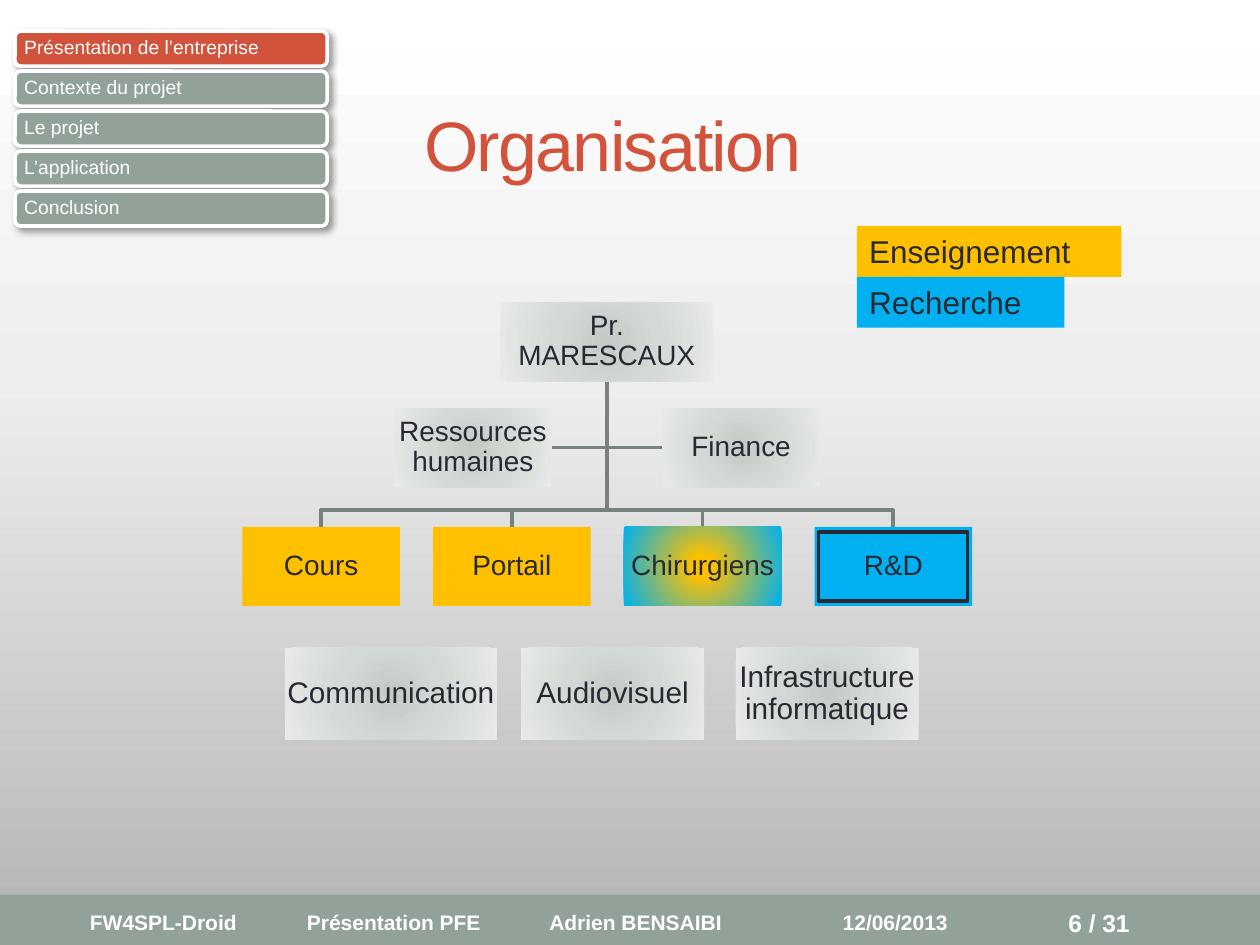
from lxml.etree import SubElement
from pptx import Presentation
from pptx.dml.color import RGBColor
from pptx.enum.shapes import MSO_SHAPE
from pptx.enum.text import MSO_ANCHOR, PP_ALIGN
from pptx.oxml.ns import qn
from pptx.util import Pt

RED, SAGE, WHITE, INK = "D2533C", "93A299", "FFFFFF", "292934"
YELLOW, BLUE, LINE = "FFC000", "00B0F0", "76827B"
GREY_STOPS = [(0, "C4CAC6"), (45, "D3DAD6"), (100, "E7EAE8")]
MIXED_STOPS = [(0, YELLOW), (12, YELLOW), (100, BLUE)]

color = RGBColor.from_string


def paint(holder, fill, paint_value, radial=True):
    """Fill with one colour, or with a list of (percent, colour) stops."""
    if isinstance(paint_value, str):
        fill.solid()
        fill.fore_color.rgb = color(paint_value)
        return
    fill.gradient()
    gradient = holder._element.find(".//" + qn("a:gradFill"))
    for child in list(gradient):
        gradient.remove(child)
    stop_list = SubElement(gradient, qn("a:gsLst"))
    for percent, value in paint_value:
        stop = SubElement(stop_list, qn("a:gs"), pos=str(percent * 1000))
        SubElement(stop, qn("a:srgbClr"), val=value)
    if radial:
        circle = SubElement(gradient, qn("a:path"), path="circle")
        SubElement(circle, qn("a:fillToRect"), l="50000", t="50000", r="50000", b="50000")
    else:
        SubElement(gradient, qn("a:lin"), ang="5400000", scaled="0")


def add_box(left, top, width, height, text, size, ink=INK, fill=None, bold=False,
            align=PP_ALIGN.LEFT, inset=7.2, side=None, spacing=None,
            kind=MSO_SHAPE.RECTANGLE, anchor=MSO_ANCHOR.MIDDLE):
    """Add a filled shape, or a text box when there is no fill."""
    place = Pt(left), Pt(top), Pt(width), Pt(height)
    if fill:
        box = page.shapes.add_shape(kind, *place)
        box.shadow.inherit = False
        box.line.fill.background()
        paint(box, box.fill, fill)
    else:
        box = page.shapes.add_textbox(*place)
    frame = box.text_frame
    frame.word_wrap = True
    frame.vertical_anchor = anchor
    frame.margin_left = frame.margin_right = Pt(inset if side is None else side)
    frame.margin_top = frame.margin_bottom = Pt(min(inset, 3.6))
    para = frame.paragraphs[0]
    para.alignment = align
    if spacing:
        para.line_spacing = spacing
    for number, part in enumerate(text.split("\n")):
        if number:
            para.add_line_break()
        span = para.add_run()
        span.text = part
        span.font.name = "Arial"
        span.font.size = Pt(size)
        span.font.bold = bold
        span.font.color.rgb = color(ink)
    return box


deck = Presentation()
deck.slide_width, deck.slide_height = Pt(720), Pt(540)
page = deck.slides.add_slide(deck.slide_layouts[6])
paint(page, page.background.fill, [(0, WHITE), (40, "EEEEEE"), (100, "B4B4B4")], radial=False)

# Footer
footer = page.shapes.add_shape(MSO_SHAPE.RECTANGLE, 0, Pt(511.2), Pt(720), Pt(28.8))
footer.shadow.inherit = False
footer.line.fill.background()
paint(footer, footer.fill, SAGE)
credits = add_box(36.7, 514.1, 391, 25.9,
                  "FW4SPL-Droid\tPrésentation PFE\tAdrien BENSAIBI", 12, WHITE,
                  bold=True, side=14.7)
tabs = SubElement(credits.text_frame.paragraphs[0]._p.get_or_add_pPr(), qn("a:tabLst"))
for position in (124, 262.5):
    SubElement(tabs, qn("a:tab"), pos=str(int(Pt(position))), algn="l")
add_box(474.5, 514.1, 91.4, 25.9, "12/06/2013", 12, WHITE, bold=True)
add_box(603.4, 514.1, 84.2, 25.9, "6 / 31", 14, WHITE, bold=True)

# Title
title = add_box(235.4, 43.2, 470, 77.8, "Organisation", 40, RED)
title.text_frame.paragraphs[0].runs[0].font._element.set("spc", "-100")

# Section navigation
sections = ["Présentation de l’entreprise", "Contexte du projet", "Le projet",
            "L’application", "Conclusion"]
for row, section in enumerate(sections):
    tab = add_box(8.6, 17.8 + 22.85 * row, 178.4, 20, section, 11, WHITE,
                  RED if row == 0 else SAGE, inset=4.3, spacing=0.9,
                  kind=MSO_SHAPE.ROUNDED_RECTANGLE)
    tab.line.color.rgb = color(WHITE)
    tab.line.width = Pt(2.08)
    shadow = SubElement(tab._element.spPr.find(qn("a:effectLst")), qn("a:outerShdw"),
                        blurRad=str(Pt(4)), dist=str(Pt(3)), dir="2700000",
                        algn="tl", rotWithShape="0")
    SubElement(SubElement(shadow, qn("a:srgbClr"), val="000000"), qn("a:alpha"), val="40000")

# Organisation chart: connectors behind, then boxes
center, root_bottom, assistant_y, bus_y, team_top = 347, 218.2, 255.8, 291.5, 301
box_width, box_height, team_pitch = 90, 45.2, 109
team_lefts = [center - box_width / 2 + team_pitch * (i - 1.5) for i in range(4)]
branches = [[(center, assistant_y), (x, assistant_y)] for x in (378.5, 315.2)]
for left in team_lefts:
    middle = left + box_width / 2
    branches.append([(center, bus_y), (middle, bus_y), (middle, team_top)])
for branch in branches:
    builder = page.shapes.build_freeform(Pt(center), Pt(root_bottom))
    builder.add_line_segments([(Pt(x), Pt(y)) for x, y in branch], close=False)
    connector = builder.convert_to_shape()
    connector.shadow.inherit = False
    connector.fill.background()
    connector.line.color.rgb = color(LINE)
    connector.line.width = Pt(2.08)

teams = [("Cours", YELLOW), ("Portail", YELLOW), ("Chirurgiens", MIXED_STOPS), ("R&D", BLUE)]
units = [(285.9, 172.7, 121.7, box_height, "Pr. MARESCAUX", 16, GREY_STOPS),
         (225.2, 233.2, box_width, box_height, "Ressources humaines", 16, GREY_STOPS),
         (378.5, 233.2, box_width, box_height, "Finance", 16, GREY_STOPS)]
units += [(left, team_top, box_width, box_height, name, 16, fill)
          for left, (name, fill) in zip(team_lefts, teams)]
units += [(left, 370.2, width, 52.6, name, 17, GREY_STOPS) for left, width, name in [
    (162.8, 121.2, "Communication"),
    (297.8, 104.6, "Audiovisuel"),
    (420.4, 104.6, "Infrastructure\ninformatique")]]
for left, top, width, height, name, size, fill in units:
    add_box(left, top, width, height, name, size, fill=fill,
            align=PP_ALIGN.CENTER, inset=0.7, spacing=0.9)

# Legend
for top, width, name, fill in [(129.1, 151.2, "Enseignement", YELLOW),
                               (158.2, 118.6, "Recherche", BLUE)]:
    add_box(489.6, top, width, 29.1, name, 18, fill=fill, anchor=MSO_ANCHOR.TOP)

# Highlight around the R&D team
highlight = page.shapes.add_shape(MSO_SHAPE.RECTANGLE, Pt(467.8), Pt(304), Pt(85), Pt(39.6))
highlight.shadow.inherit = False
highlight.fill.background()
highlight.line.color.rgb = color(INK)
highlight.line.width = Pt(2.08)

deck.save("out.pptx")
